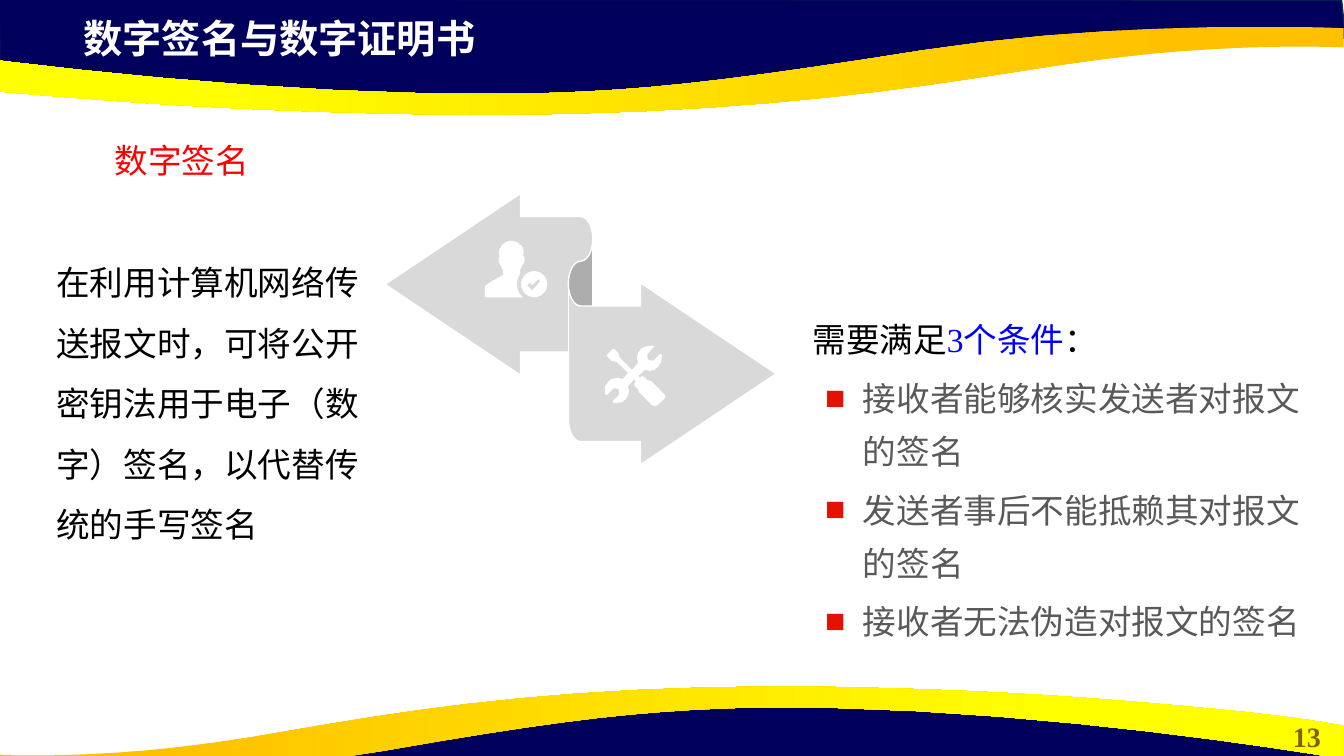
from dataclasses import dataclass

import lxml.etree
import pptx
import pptx.dml.color
import pptx.enum.shapes
import pptx.enum.text
import pptx.oxml.ns
import pptx.util

Pt = pptx.util.Pt
ALIGN = pptx.enum.text.PP_ALIGN
ANCHOR = pptx.enum.text.MSO_ANCHOR


@dataclass(frozen=True)
class Theme:
    navy: str = "00005C"
    edge: str = "05304F"
    amber: str = "FFC000"
    yellow: str = "FFFF00"
    white: str = "FFFFFF"
    black: str = "000000"
    red: str = "FF0000"
    blue: str = "0000FF"
    gray: str = "595959"
    ribbon: str = "D9D9D9"
    bullet: str = "E71101"
    number: str = "806000"
    latin: str = "Times New Roman"
    asian: str = "Noto Sans CJK SC"
    title: int = 28
    body: int = 24
    small: int = 20


THEME = Theme()
UNIT = 0.72
STEPS = 10
SIZES = {"M": 2, "L": 2, "C": 6}

TOP_NAVY = "M -1 -1 L 0 70 293 102 559 100 795 88 1016 50 1238 33 1335 38 1331 0"
TOP_GOLD = """M 483 114 C 443 114 401 113 356 112 206 108 110 100 36 94
-88 84 -130 75 -133 75 L -133 42 C -133 42 218 98 517 93
626 91 708 83 915 50 1121 18 1333 28 1333 28 L 1333 47 1330 47
C 1305 46 1195 43 1055 64 918 85 762 113 483 114"""
LOW_NAVY = "M 1333 794 L 1332 724 1040 691 773 693 538 706 317 743 95 760 -3 756 1 793"
LOW_GOLD = """M 772 681 C 809 681 847 682 888 683 1025 687 1112 695 1179 701
1292 711 1330 720 1333 720 L 1333 753 C 1333 753 1014 697 742 702
642 705 567 712 380 745 192 778 -1 768 -1 768 L -1 748 2 749
C 25 750 125 752 252 731 376 710 519 682 772 681"""
BADGE = """M 534 277 L 528 283 526 280 523 283 528 288 531 285 536 279
M 530 269 C 537 269 543 275 543 282 543 289 537 295 530 295
523 295 517 289 517 282 517 275 523 269 530 269"""
BUST = """M 507 239 C 509 239 511 240 513 240 515 242 516 243 516 243
516 243 521 244 519 254 520 255 521 256 520 260
519 263 518 263 518 263 518 265 517 266 516 268 L 516 272
C 514 275 513 278 513 282 513 287 515 292 519 295 L 483 295
C 482 295 481 294 481 292 L 481 287 C 481 286 481 284 482 283
489 278 497 274 499 273 L 499 268 C 498 266 497 265 497 263
496 263 496 262 495 260 494 256 495 255 496 255
495 253 495 251 495 249 496 247 497 245 498 243
499 242 500 242 501 241 502 240 505 239 507 239"""
TOOLS = """M 659 391 L 646 378 642 377 639 374 637 373 635 375 633 373 640 367
645 368 649 367 653 364 656 359 657 352 655 351 649 357 648 358 643 357 642 352
648 345 649 344 648 343 645 343 640 344 636 346 633 350 632 355 633 360 627 367
615 355 614 351 610 347 609 346 607 347 603 351 602 353 603 354 607 358 612 359
623 370 618 376 612 375 607 376 603 379 600 384 600 391 602 392 608 386 609 385
614 386 614 392 608 398 608 399 609 400 612 400 617 399 621 396 623 392 624 388
623 383 629 377 631 378 629 381 630 383 633 386 634 389 647 402 650 403 652 402
659 396 660 393"""


def tint(code):
    return pptx.dml.color.RGBColor.from_string(code)


def trace(route):
    loops, mode, nums = [], "M", []
    for word in route.split():
        if word in SIZES:
            mode = word
            continue
        nums.append(float(word))
        if len(nums) < SIZES[mode]:
            continue
        if mode == "M":
            loops.append([tuple(nums)])
        elif mode == "L":
            loops[-1].append(tuple(nums))
        else:
            ends = [loops[-1][-1], nums[:2], nums[2:4], nums[4:]]
            for step in range(1, STEPS + 1):
                t = step / STEPS
                parts = ((1 - t) ** 3, 3 * t * (1 - t) ** 2, 3 * t * t * (1 - t), t ** 3)
                loops[-1].append(tuple(
                    sum(part * end[axis] for part, end in zip(parts, ends)) for axis in (0, 1)))
        nums = []
    return [[(Pt(x * UNIT), Pt(y * UNIT)) for x, y in loop] for loop in loops]


def paint(shape, fill=None, line=None):
    shape.shadow.inherit = False
    if fill:
        shape.fill.solid()
        shape.fill.fore_color.rgb = tint(fill)
    if line:
        shape.line.color.rgb = tint(line)
        shape.line.width = Pt(1)
    else:
        shape.line.fill.background()


def draw(slide, route, fill=None, line=None):
    loops = trace(route)
    pen = slide.shapes.build_freeform(*loops[0][0])
    pen.add_line_segments(loops[0][1:])
    for loop in loops[1:]:
        pen.move_to(*loop[0])
        pen.add_line_segments(loop[1:])
    shape = pen.convert_to_shape()
    paint(shape, fill, line)
    return shape


def blend(shape, angle):
    shape.fill.gradient()
    shape.fill.gradient_angle = angle
    hues = (THEME.amber, 0.11), (THEME.yellow, 0.78)
    for stop, (hue, spot) in zip(shape.fill.gradient_stops, hues):
        stop.color.rgb = tint(hue)
        stop.position = spot


def place(shape, left, top, width, height, anchor=ANCHOR.TOP):
    shape.left, shape.top, shape.width, shape.height = map(Pt, (left, top, width, height))
    frame = shape.text_frame
    frame.word_wrap = True
    frame.auto_size = pptx.enum.text.MSO_AUTO_SIZE.NONE
    frame.vertical_anchor = anchor
    return frame


def label(slide, *spot):
    return place(slide.shapes.add_textbox(0, 0, 0, 0), *spot)


def mark(para, bullet):
    props = para._p.get_or_add_pPr()
    props.set("marL", str(Pt(36 if bullet else 0)))
    props.set("indent", str(Pt(-27 if bullet else 0)))
    qn = pptx.oxml.ns.qn
    if not bullet:
        lxml.etree.SubElement(props, qn("a:buNone"))
        return
    hue = lxml.etree.SubElement(props, qn("a:buClr"))
    lxml.etree.SubElement(hue, qn("a:srgbClr"), val=THEME.bullet)
    lxml.etree.SubElement(props, qn("a:buFont"), typeface=THEME.latin)
    lxml.etree.SubElement(props, qn("a:buChar"), char="■")


def write(frame, text, size=THEME.body, color=THEME.black, bold=False, align=ALIGN.LEFT,
          font=THEME.latin, space=1.0, before=0, bullet=False, join=False):
    para = frame.paragraphs[-1]
    if not join:
        if para.runs:
            para = frame.add_paragraph()
        para.level = 1 if bullet else 0
        para.alignment = align
        para.line_spacing = space
        para.space_before = Pt(before)
        mark(para, bullet)
    run = para.add_run()
    run.text = text
    run.font.size = Pt(size)
    run.font.bold = bold
    run.font.color.rgb = tint(color)
    run.font.name = font
    props = run._r.get_or_add_rPr()
    lxml.etree.SubElement(props, pptx.oxml.ns.qn("a:ea"), typeface=THEME.asian)


def main():
    deck = pptx.Presentation()
    deck.slide_width, deck.slide_height = Pt(960), Pt(540)
    slide = deck.slides.add_slide(deck.slide_layouts[1])
    title, body = slide.placeholders

    for navy, gold, angle in (TOP_NAVY, TOP_GOLD, 180), (LOW_NAVY, LOW_GOLD, 0):
        draw(slide, navy, THEME.navy, THEME.edge)
        blend(draw(slide, gold), angle)

    write(label(slide, 907.2, 510.5, 52.6, 31.7), "13", size=THEME.small,
          color=THEME.number, bold=True, align=ALIGN.CENTER)

    slide.shapes.element.append(title.element)
    write(place(title, 52.6, 6.5, 553, 41, ANCHOR.MIDDLE), "数字签名与数字证明书",
          size=THEME.title, color=THEME.white, bold=True)
    write(label(slide, 74.9, 100, 125.3, 38.2), "数字签名",
          color=THEME.red, font=THEME.asian, space=0.9)

    ribbon = slide.shapes.add_shape(pptx.enum.shapes.MSO_SHAPE.LEFT_RIGHT_RIBBON,
                                    Pt(275), Pt(138.2), Pt(279.4), Pt(193.7))
    paint(ribbon, THEME.ribbon, THEME.white)
    for slot, value in enumerate((0.5, 0.5, 0.33)):
        ribbon.adjustments[slot] = value

    write(label(slide, 33.1, 169.2, 233.3, 242.6),
          "在利用计算机网络传送报文时，可将公开密钥法用于电子（数字）签名，以代替传统的手写签名",
          space=1.5)

    slide.shapes.element.append(body.element)
    frame = place(body, 573.1, 227.5, 366.5, 207.4)
    write(frame, "需要满足", space=0.9)
    write(frame, "3个条件", color=THEME.blue, join=True)
    write(frame, "：", join=True)
    for need in ("接收者能够核实发送者对报文的签名",
                 "发送者事后不能抵赖其对报文的签名",
                 "接收者无法伪造对报文的签名"):
        write(frame, need, color=THEME.gray, space=1.32, before=3.7, bullet=True)

    for icon in BUST, BADGE, TOOLS:
        draw(slide, icon, THEME.white)
    deck.save("out.pptx")


if __name__ == "__main__":
    main()
